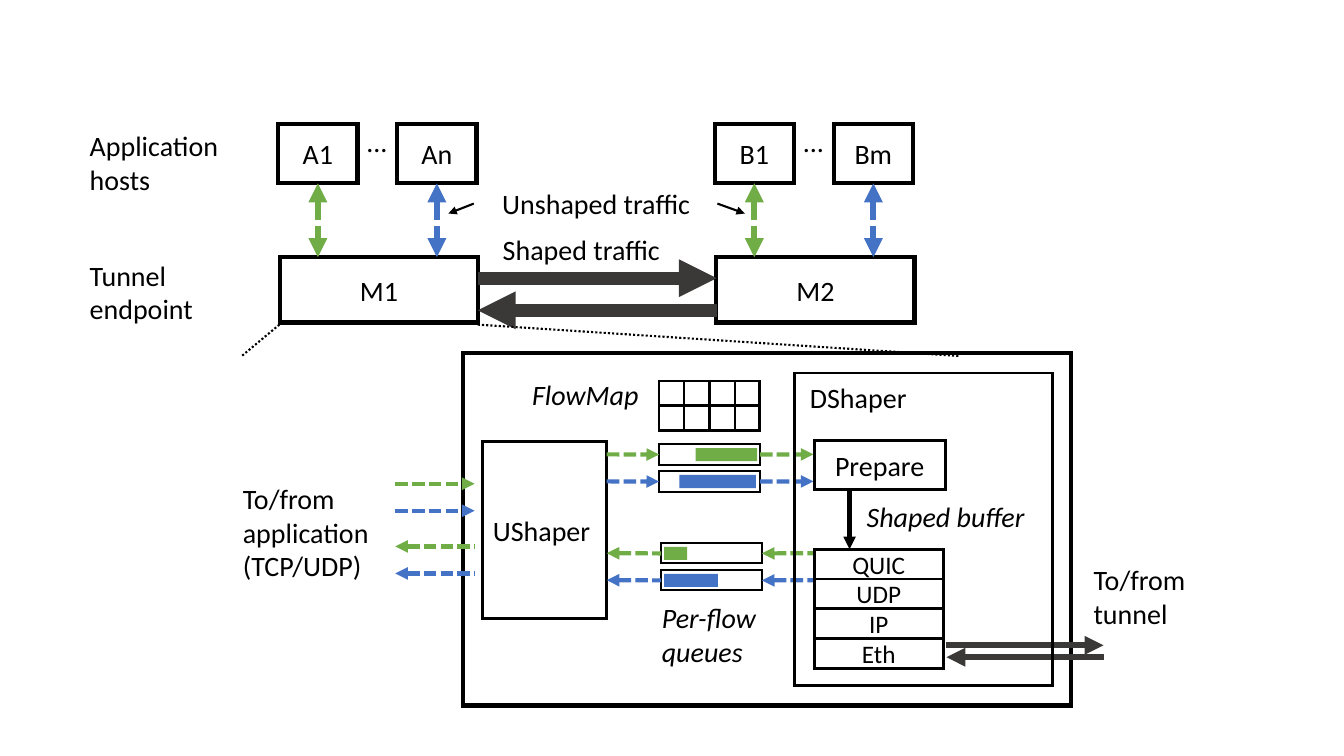
from lxml.etree import SubElement
from pptx import Presentation
from pptx.dml.color import RGBColor
from pptx.enum.dml import MSO_LINE
from pptx.enum.shapes import MSO_CONNECTOR, MSO_SHAPE
from pptx.enum.text import MSO_ANCHOR, PP_ALIGN
from pptx.oxml.ns import qn
from pptx.util import Cm, Pt

COLORS = {"black": "000000", "green": "70AD47", "blue": "4472C4", "gray": "3B3838"}
FLOWS = ("green", "blue")
LEFT, RIGHT, BOTTOM = 1, 3, 2
SITE_GAP = 11
FLOW_GAP = 0.68


def color(name):
    return RGBColor.from_string(COLORS[name])


def write(frame, text, size=20, italic=False, align=PP_ALIGN.LEFT, anchor=MSO_ANCHOR.TOP):
    frame.word_wrap = True
    frame.vertical_anchor = anchor
    for index, line in enumerate(text.split("\n")):
        para = frame.add_paragraph() if index else frame.paragraphs[0]
        para.alignment = align
        span = para.add_run()
        span.text = line
        span.font.name = "Calibri"
        span.font.size = Pt(size)
        span.font.italic = italic
        span.font.color.rgb = color("black")


def add_label(page, text, left, top, width, height, **style):
    box = page.shapes.add_textbox(Cm(left), Cm(top), Cm(width), Cm(height))
    write(box.text_frame, text, **style)


def add_rectangle(page, left, top, width, height):
    box = page.shapes.add_shape(
        MSO_SHAPE.RECTANGLE, Cm(left), Cm(top), Cm(width), Cm(height))
    box.shadow.inherit = False
    return box


def add_box(page, left, top, width, height, weight=2, text="", size=20,
            align=PP_ALIGN.CENTER):
    box = add_rectangle(page, left, top, width, height)
    box.fill.background()
    box.line.color.rgb = color("black")
    box.line.width = Pt(weight)
    SubElement(box._element.spPr.get_or_add_ln(), qn("a:miter"), lim="800000")
    if text:
        write(box.text_frame, text, size=size, align=align, anchor=MSO_ANCHOR.MIDDLE)
    return box


def add_bar(page, left, top, width, fill):
    bar = add_rectangle(page, left, top, width, 0.33)
    bar.fill.solid()
    bar.fill.fore_color.rgb = color(fill)
    bar.line.fill.background()


def add_line(page, start, end, name="black", weight=1.5, dash=None, heads=()):
    line = page.shapes.add_connector(
        MSO_CONNECTOR.STRAIGHT, Cm(start[0]), Cm(start[1]), Cm(end[0]), Cm(end[1]))
    line.line.color.rgb = color(name)
    line.line.width = Pt(weight)
    if dash:
        line.line.dash_style = dash
    properties = line._element.spPr
    for tag in ("headEnd", "tailEnd"):
        if tag in heads:
            SubElement(properties.get_or_add_ln(), qn(f"a:{tag}"), type="triangle")
    SubElement(properties, qn("a:effectLst"))
    return line


def add_flow(page, left, right, y, name, heads):
    return add_line(page, (left, y), (right, y), name, 3, MSO_LINE.SQUARE_DOT, heads)


def add_site(page, left, hosts, endpoint):
    add_box(page, left + 0.04, 6.48, 5, 1.65, 3, endpoint)
    for index, (host, name) in enumerate(zip(hosts, FLOWS)):
        host_left = left + 3 * index
        box = add_box(page, host_left, 3.12, 2, 1.5, 3, host)
        arrow = add_line(page, (host_left + 1, 4.62), (host_left + 1, 6.48), name, 4.5,
                         MSO_LINE.SQUARE_DOT, ("headEnd", "tailEnd"))
        arrow.begin_connect(box, BOTTOM)
    add_label(page, "...", left + 1.6, 3.02, 1.78, 1.12, align=PP_ALIGN.CENTER)


def add_queues(page, left, top, bars, heads):
    for index, (name, (bar_left, bar_width)) in enumerate(zip(FLOWS, bars)):
        y = top + FLOW_GAP * index
        queue = add_box(page, left, y, 2.54, 0.51, 1.5)
        add_bar(page, bar_left, y + 0.09, bar_width, name)
        add_flow(page, 15.29, left, y + 0.25, name, heads).end_connect(queue, LEFT)
        add_flow(page, left + 2.54, 20.5, y + 0.25, name, heads).begin_connect(queue, RIGHT)


def add_flow_map(page, left, top, width, height):
    add_box(page, left, top, width, height)
    for column in range(1, 4):
        x = left + width * column / 4
        add_line(page, (x, top), (x, top + height))
    middle = top + height / 2
    add_line(page, (left, middle), (left + width, middle))
    add_label(page, "FlowMap", 13.16, 9.4, 3.81, 1.12, italic=True)


def add_tunnel(page):
    add_site(page, 7.01, ("A1", "An"), "M1")
    add_site(page, 7.01 + SITE_GAP, ("B1", "Bm"), "M2")
    for y, head in ((7.01, "tailEnd"), (7.82, "headEnd")):
        add_line(page, (12.04, y), (18.06, y), "gray", 9, heads=(head,))
    for start, end in (((7.04, 8.18), (6.07, 8.99)), ((12.04, 8.18), (24.18, 8.97))):
        add_line(page, start, end, dash=MSO_LINE.ROUND_DOT)
    add_label(page, "Tunnel endpoint", 2.01, 6.38, 4.24, 1.96)
    add_label(page, "Application hosts", 2.01, 3.12, 4.22, 1.96)
    add_label(page, "Shaped traffic", 12.07, 5.74, 5.16, 1.12, align=PP_ALIGN.CENTER)
    add_label(page, "Unshaped traffic", 11.94, 4.57, 6.17, 1.12, align=PP_ALIGN.CENTER)
    for start, end in ((11.94, 11.3), (18.08, 18.77)):
        add_line(page, (start, 5.13), (end, 5.38), heads=("tailEnd",))


def add_endpoint_detail(page):
    add_box(page, 11.66, 8.89, 15.34, 8.89, 3)
    add_label(page, "To/from application\n(TCP/UDP)", 5.87, 12.01, 4.24, 2.82)
    add_label(page, "Per-flow queues", 16.43, 15.01, 3.12, 2.16, italic=True)
    add_label(page, "Shaped buffer", 21.59, 12.45, 4.98, 1.22, italic=True)
    add_box(page, 12.17, 11.13, 3.12, 4.45, text="UShaper", align=PP_ALIGN.LEFT)
    add_queues(page, 16.61, 11.2, ((17.53, 1.55), (17.12, 1.93)), ("tailEnd",))
    add_queues(page, 16.66, 13.69, ((16.74, 0.58), (16.74, 1.35)), ("headEnd",))
    for top, head in ((12.19, "tailEnd"), (13.77, "headEnd")):
        for index, name in enumerate(FLOWS):
            add_flow(page, 9.96, 11.96, top + FLOW_GAP * index, name, (head,))
    for left, y, head in ((23.83, 16.26, "tailEnd"), (23.85, 16.56, "headEnd")):
        add_line(page, (left, y), (left + 3.98, y), "gray", 4.5, heads=(head,))
    add_label(page, "To/from tunnel", 27.31, 14.05, 3.33, 1.96)
    add_box(page, 20.52, 11.1, 3.3, 1.24, text="Prepare")
    for index, layer in enumerate(("QUIC", "UDP", "IP", "Eth")):
        add_box(page, 20.52, 13.84 + 0.75 * index, 3.25, 0.75, text=layer, size=18)
    add_line(page, (21.41, 12.34), (21.41, 13.84), weight=3, heads=("tailEnd",))
    add_box(page, 20.02, 9.4, 6.5, 7.87)
    add_label(page, "DShaper", 19.79, 9.47, 3.68, 1.12, align=PP_ALIGN.CENTER)
    add_flow_map(page, 16.61, 9.6, 2.54, 1.24)


def main():
    deck = Presentation()
    deck.slide_width = Cm(33.87)
    deck.slide_height = Cm(19.05)
    page = deck.slides.add_slide(deck.slide_layouts[6])
    add_tunnel(page)
    add_endpoint_detail(page)
    deck.save("out.pptx")


if __name__ == "__main__":
    main()
